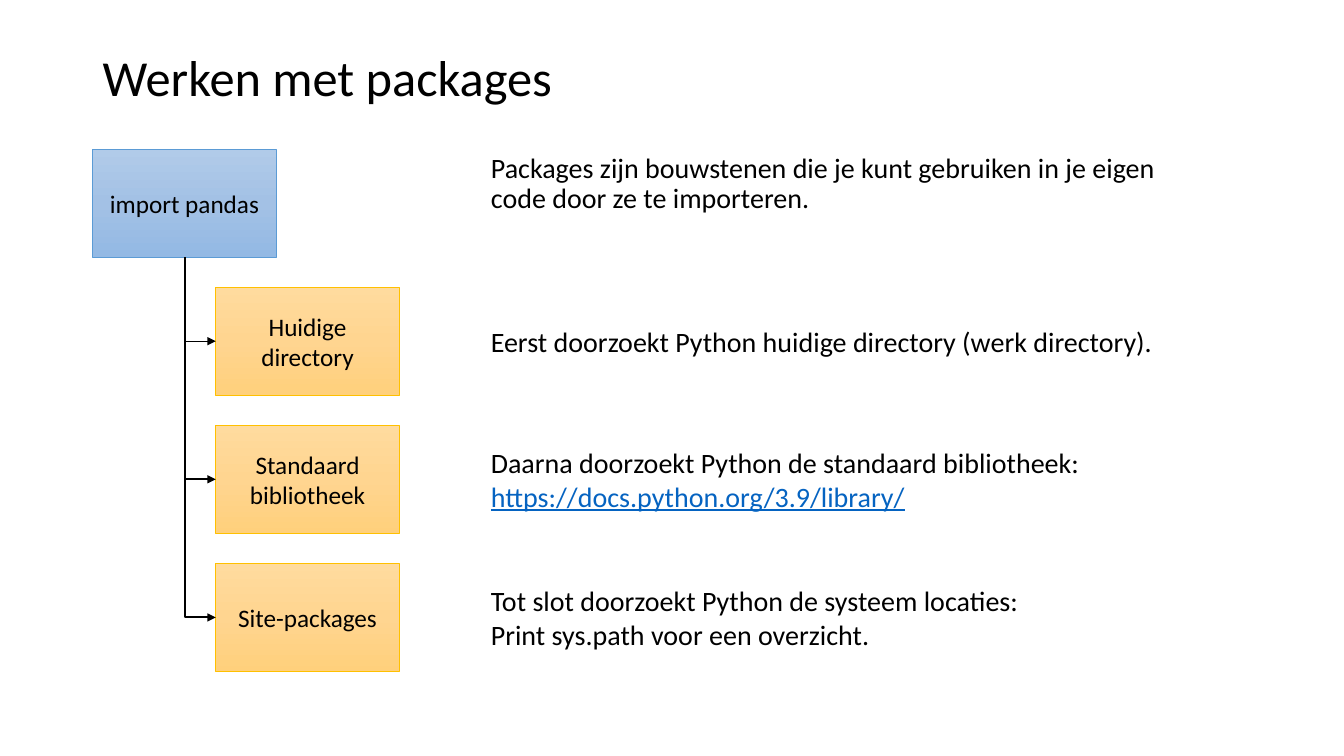
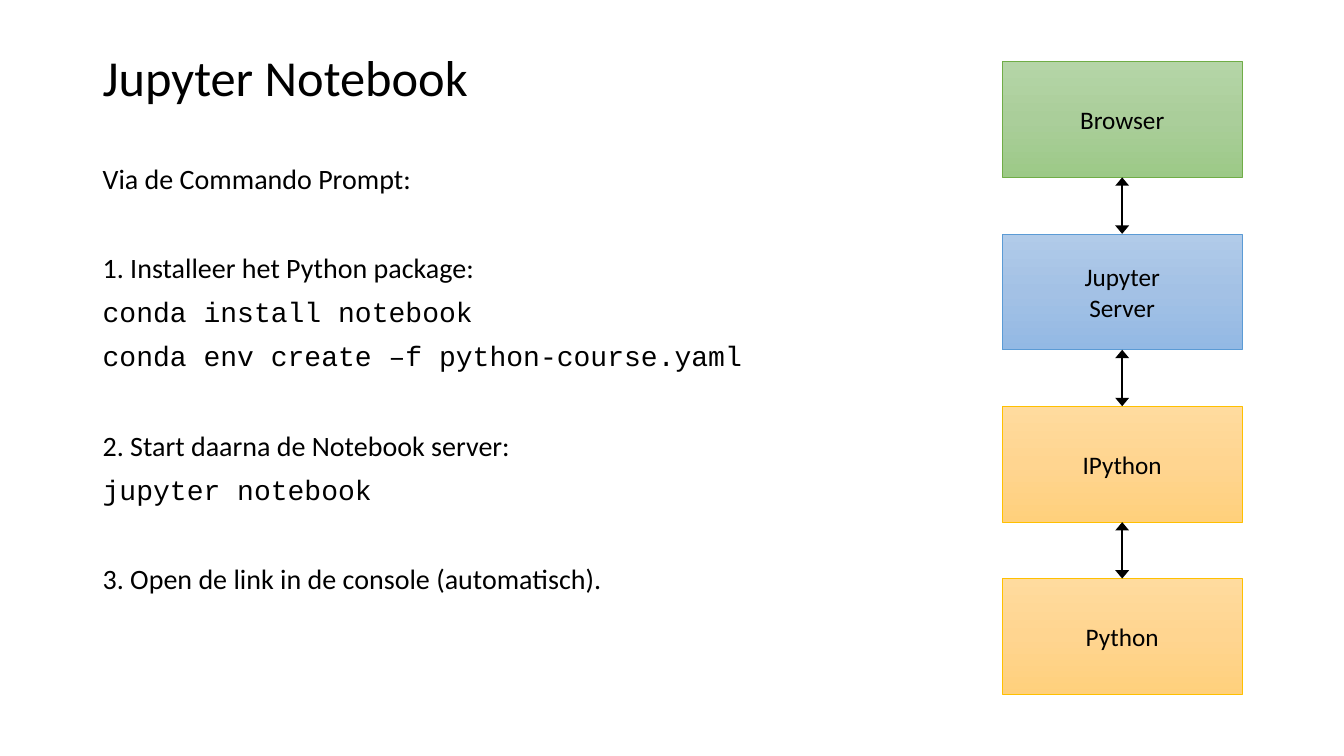
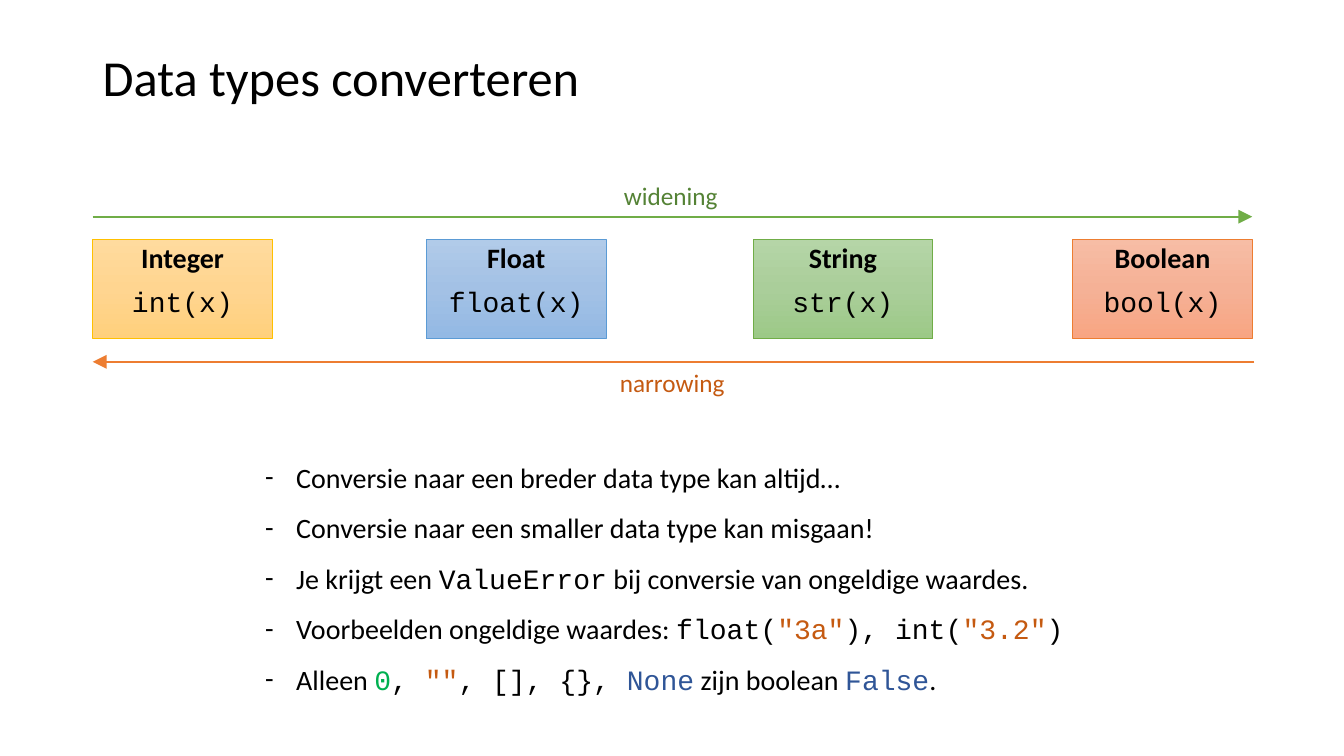
from copy import deepcopy

from lxml import etree
from pptx import Presentation
from pptx.dml.color import RGBColor
from pptx.enum.shapes import MSO_CONNECTOR, MSO_SHAPE
from pptx.enum.text import MSO_ANCHOR, PP_ALIGN
from pptx.oxml.ns import qn
from pptx.util import Inches, Pt

RECT = MSO_SHAPE.RECTANGLE
STRAIGHT, ELBOW = MSO_CONNECTOR.STRAIGHT, MSO_CONNECTOR.ELBOW
TOP, MIDDLE = MSO_ANCHOR.TOP, MSO_ANCHOR.MIDDLE
LEFT, CENTER = PP_ALIGN.LEFT, PP_ALIGN.CENTER

BODY_FONT, CODE_FONT = "Calibri", "Courier New"
MARGIN, CONTENT_WIDTH = 0.92, 11.5
COLORS = {
    "black": "000000",
    "link": "0563C1",
    "widening": "548235",
    "string": "C55A11",
    "number": "00B050",
    "keyword": "2F5597",
    "blue": "5B9BD5",
    "yellow": "FFC000",
    "green": "70AD47",
    "orange": "ED7D31",
}
GRADIENTS = {
    "blue": ("B1CBE9", "A3C1E5", "93B9E4"),
    "yellow": ("FFDB9E", "FFD590", "FFD07C"),
    "green": ("B5D5A7", "AACE9A", "9CC987"),
    "orange": ("F7BDA5", "F5B196", "F8A582"),
}


def rgb(name):
    return RGBColor.from_string(COLORS[name])


def styled(text, color="black", font=BODY_FONT, bold=False, underline=False):
    return text, color, font, bold, underline


def code(text, color="black"):
    return styled(text, color, CODE_FONT)


def write(tf, paragraphs, size, align=LEFT, spacing=None, before=0, gaps=None, bullet=None):
    for i, runs in enumerate(paragraphs):
        p = tf.paragraphs[0] if i == 0 else tf.add_paragraph()
        if bullet:
            add_bullet(p, bullet)
        p.alignment = align
        if spacing:
            p.line_spacing = spacing
        if i:
            p.space_before = Pt((gaps or {}).get(i, before))
        for run in runs if isinstance(runs, list) else [runs]:
            text, color, font, bold, underline = styled(run) if isinstance(run, str) else run
            r = p.add_run()
            r.text = text
            r.font.size = Pt(size)
            r.font.name = font
            r.font.bold = bold
            r.font.underline = underline
            r.font.color.rgb = rgb(color)


def add_bullet(p, char):
    pPr = p._p.get_or_add_pPr()
    pPr.set("marL", str(Inches(0.31)))
    pPr.set("indent", str(-Inches(0.31)))
    etree.SubElement(pPr, qn("a:buFont")).set("typeface", BODY_FONT)
    etree.SubElement(pPr, qn("a:buChar")).set("char", char)


def add_text(s, x, y, w, h, paragraphs, size=20, anchor=TOP, wrap=True, **style):
    tf = s.shapes.add_textbox(Inches(x), Inches(y), Inches(w), Inches(h)).text_frame
    tf.word_wrap = wrap
    tf.vertical_anchor = anchor
    write(tf, paragraphs, size, **style)


def add_box(s, x, y, w, h, color, paragraphs, size=18, anchor=MIDDLE, **style):
    box = s.shapes.add_shape(RECT, Inches(x), Inches(y), Inches(w), Inches(h))
    box.shadow.inherit = False
    fill_gradient(box, GRADIENTS[color])
    box.line.color.rgb = rgb(color)
    box.line.width = Pt(0.5)
    box.text_frame.vertical_anchor = anchor
    write(box.text_frame, paragraphs, size, CENTER, **style)


def fill_gradient(box, stops):
    box.fill.gradient()
    box.fill.gradient_angle = 270
    stop_list = box._element.spPr.find(qn("a:gradFill")).find(qn("a:gsLst"))
    stop_list.insert(1, deepcopy(stop_list[0]))
    for i, (stop, color) in enumerate(zip(box.fill.gradient_stops, stops)):
        stop.position = i / 2
        stop.color.rgb = RGBColor.from_string(color)


def add_arrow(s, x1, y1, x2, y2, color="black", width=1.5, kind=STRAIGHT, both=False,
              head=("med", "med")):
    arrow = s.shapes.add_connector(kind, Inches(x1), Inches(y1), Inches(x2), Inches(y2))
    arrow.line.color.rgb = rgb(color)
    arrow.line.width = Pt(width)
    ln = arrow.line._get_or_add_ln()
    for name in ("headEnd", "tailEnd") if both else ("tailEnd",):
        end = etree.SubElement(ln, qn("a:" + name))
        for key, value in zip(("type", "w", "len"), ("triangle", *head)):
            end.set(key, value)
    etree.SubElement(arrow._element.spPr, qn("a:effectLst"))
    return arrow


def add_down_right_arrow(s, x1, y1, x2, y2, width):
    mid_x, mid_y = (x1 + x2) / 2, (y1 + y2) / 2
    half_w, half_h = (y2 - y1) / 2, (x2 - x1) / 2
    arrow = add_arrow(s, mid_x + half_w, mid_y - half_h, mid_x - half_w, mid_y + half_h,
                      width=width, kind=ELBOW)
    spPr = arrow._element.spPr
    spPr.find(qn("a:xfrm")).set("rot", str(270 * 60000))
    spPr.find(qn("a:prstGeom")).set("prst", "bentConnector2")


def add_slide(prs, title):
    s = prs.slides.add_slide(prs.slide_layouts[6])
    add_text(s, MARGIN, 0.4, CONTENT_WIDTH, 0.79, [title], 36, MIDDLE, spacing=0.9)
    return s


def packages_slide(prs):
    s = add_slide(prs, "Werken met packages")
    top, pitch, w, h = 1.48, 1.37, 1.82, 1.07
    step_x, text_x = 2.14, 4.77
    add_box(s, MARGIN, top, w, h, "blue", ["import pandas"])
    add_text(s, text_x, top, 6.81, h,
             ["Packages zijn bouwstenen die je kunt gebruiken in je eigen code door ze te importeren."],
             spacing=0.9)
    steps = [
        ("Huidige directory", 1,
         ["Eerst doorzoekt Python huidige directory (werk directory)."]),
        ("Standaard bibliotheek", 1.5,
         ["Daarna doorzoekt Python de standaard bibliotheek:",
          styled("https://docs.python.org/3.9/library/", "link", underline=True)]),
        ("Site-packages", 1.5,
         ["Tot slot doorzoekt Python de systeem locaties:",
          "Print sys.path voor een overzicht."]),
    ]
    for i, (label, line_width, explanation) in enumerate(steps, 1):
        y = top + i * pitch
        add_box(s, step_x, y, w, h, "yellow", [label])
        add_down_right_arrow(s, MARGIN + w / 2, top + h, step_x, y + h / 2, line_width)
        add_text(s, text_x, y, 7.43, h, explanation, anchor=MIDDLE)


def notebook_slide(prs):
    s = add_slide(prs, "Jupyter Notebook")
    instructions = [
        "Via de Commando Prompt:",
        "1. Installeer het Python package:",
        code("conda install notebook"),
        code("conda env create –f python-course.yaml"),
        "2. Start daarna de Notebook server:",
        code("jupyter notebook"),
        "3. Open de link in de console (automatisch).",
    ]
    add_text(s, MARGIN, 1.59, 7.53, 5.16, instructions, spacing=0.9, before=10,
             gaps={1: 42, 4: 42, 6: 42})
    x, top, pitch, w, h = 9.94, 0.61, 1.71, 2.38, 1.15
    layers = [
        ("green", ["Browser"]),
        ("blue", ["Jupyter", "Server"]),
        ("yellow", ["IPython"]),
        ("yellow", ["Python"]),
    ]
    for i, (color, label) in enumerate(layers):
        y = top + i * pitch
        add_box(s, x, y, w, h, color, label)
        if i:
            add_arrow(s, x + w / 2, y - pitch + h, x + w / 2, y, both=True,
                      head=("lg", "med"))


def data_types_slide(prs):
    s = add_slide(prs, "Data types converteren")
    types = [
        (0.92, "yellow", "Integer", "int(x)"),
        (4.23, "blue", "Float", "float(x)"),
        (7.47, "green", "String", "str(x)"),
        (10.64, "orange", "Boolean", "bool(x)"),
    ]
    for x, color, name, call in types:
        add_box(s, x, 2.37, 1.78, 0.99, color, [styled(name, bold=True), code(call)],
                20, TOP, spacing=0.9, before=10)
    right = MARGIN + CONTENT_WIDTH
    add_arrow(s, MARGIN, 2.15, right, 2.15, "green", head=("lg", "lg"))
    add_text(s, 6.09, 1.74, 1.14, 0.4, [styled("widening", "widening")], 18, wrap=False)
    add_arrow(s, right + 0.02, 3.59, MARGIN, 3.59, "orange", head=("lg", "lg"))
    add_text(s, 6.05, 3.59, 1.25, 0.4, [styled("narrowing", "string")], 18, wrap=False)
    rules = [
        "Conversie naar een breder data type kan altijd…",
        "Conversie naar een smaller data type kan misgaan!",
        ["Je krijgt een ", code("ValueError"), " bij conversie van ongeldige waardes."],
        ["Voorbeelden ongeldige waardes: ", code("float("), code('"3a"', "string"),
         code("), int("), code('"3.2"', "string"), code(")")],
        ["Alleen ", code("0", "number"), code(", "), code('""', "string"),
         code(", [], {}, "), code("None", "keyword"), " zijn boolean ",
         code("False", "keyword"), "."],
    ]
    add_text(s, 2.53, 4.52, 8.28, 2.44, rules, before=12, bullet="-")


def main():
    prs = Presentation()
    prs.slide_width, prs.slide_height = Inches(13.33), Inches(7.5)
    packages_slide(prs)
    notebook_slide(prs)
    data_types_slide(prs)
    prs.save("out.pptx")


if __name__ == "__main__":
    main()
